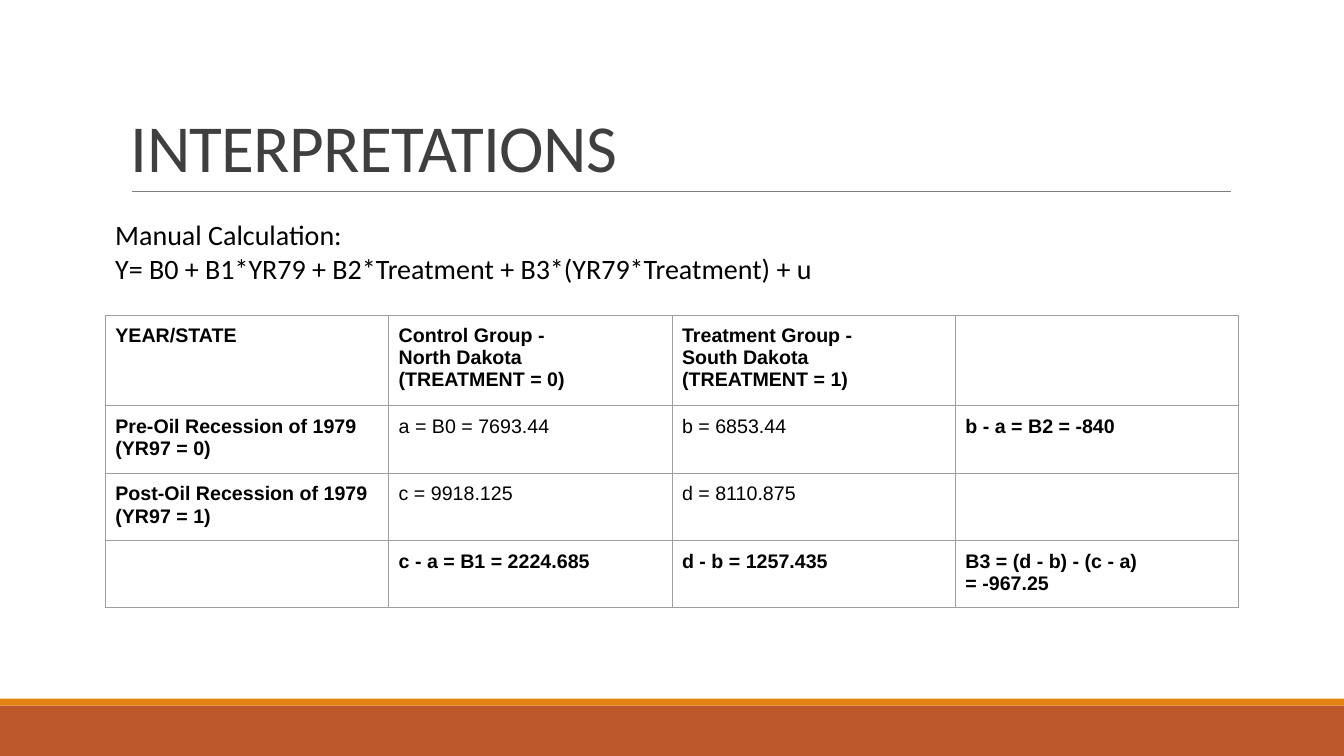
import dataclasses

import lxml.etree
import pptx
import pptx.dml.color
import pptx.enum.shapes
import pptx.enum.text
import pptx.oxml.ns
import pptx.util

Pt = pptx.util.Pt


@dataclasses.dataclass(frozen=True)
class Theme:
    """Colours, fonts and type sizes of the slide."""
    band: str = "BD582C"
    stripe: str = "E48312"
    rule: str = "7F7F7F"
    border: str = "9E9E9E"
    title: str = "3F3F3F"
    text: str = "000000"
    heading_font: str = "Calibri"
    table_font: str = "Arial"
    title_size: float = 48
    body_size: float = 20
    table_size: float = 14
    line_width: float = 0.75


THEME = Theme()
SLIDE_WIDTH, SLIDE_HEIGHT = 960, 540
TABLE_LEFT, TABLE_TOP, COLUMN_WIDTH = 75.2, 225, 202.4
ROW_HEIGHTS = (61.5, 45.7, 45.7, 45.7)

# Each cell holds its lines and whether they are bold.
CELLS = (
    (("YEAR/STATE", True),
     ("Control Group -\nNorth Dakota\n(TREATMENT = 0)", True),
     ("Treatment Group -\nSouth Dakota\n(TREATMENT = 1)", True),
     ("", True)),
    (("Pre-Oil Recession of 1979\n(YR97 = 0)", True),
     ("a = B0 = 7693.44", False),
     ("b = 6853.44", False),
     ("b - a = B2 = -840", True)),
    (("Post-Oil Recession of 1979\n(YR97 = 1)", True),
     ("c = 9918.125", False),
     ("d = 8110.875", False),
     ("", True)),
    (("", True),
     ("c - a = B1 = 2224.685", True),
     ("d - b = 1257.435", True),
     ("B3 = (d - b) - (c - a)\n= -967.25", True)),
)


def rgb(value):
    """Return a colour from its hex string."""
    return pptx.dml.color.RGBColor.from_string(value)


def apply_format(target, values):
    """Set each named attribute on the target."""
    for name, value in values.items():
        setattr(target, name, value)


def write_lines(frame, text, colour, font, line_spacing=1.0):
    """Write one paragraph per line of text and return the spans."""
    spans = []
    for index, line in enumerate(text.split("\n")):
        para = frame.add_paragraph() if index else frame.paragraphs[0]
        para.line_spacing = line_spacing
        span = para.add_run()
        span.text = line
        apply_format(span.font, font)
        span.font.color.rgb = rgb(colour)
        spans.append(span)
    return spans


def add_text(page, place, text, colour, font, frame_format, line_spacing=1.0):
    """Add a wrapping text box and return its spans."""
    box = page.shapes.add_textbox(*map(Pt, place))
    apply_format(box.text_frame, {"word_wrap": True, **frame_format})
    return write_lines(box.text_frame, text, colour, font, line_spacing)


def add_band(page, top, height, colour):
    """Add a plain bar across the full slide width."""
    band = page.shapes.add_shape(
        pptx.enum.shapes.MSO_SHAPE.RECTANGLE,
        Pt(0), Pt(top), Pt(SLIDE_WIDTH), Pt(height))
    band.shadow.inherit = False
    band.fill.solid()
    band.fill.fore_color.rgb = rgb(colour)
    band.line.fill.background()


def add_rule(page, left, right, top):
    """Add the thin line under the title."""
    rule = page.shapes.add_connector(
        pptx.enum.shapes.MSO_CONNECTOR.STRAIGHT,
        Pt(left), Pt(top), Pt(right), Pt(top))
    rule.line.color.rgb = rgb(THEME.rule)
    rule.line.width = Pt(THEME.line_width)
    lxml.etree.SubElement(rule._element.spPr, pptx.oxml.ns.qn("a:effectLst"))


def add_borders(cell):
    """Draw all four borders of a table cell."""
    properties = cell._tc.get_or_add_tcPr()
    for side in ("lnL", "lnR", "lnT", "lnB"):
        line = lxml.etree.SubElement(
            properties, pptx.oxml.ns.qn(f"a:{side}"), w=str(Pt(THEME.line_width)))
        fill = lxml.etree.SubElement(line, pptx.oxml.ns.qn("a:solidFill"))
        lxml.etree.SubElement(
            fill, pptx.oxml.ns.qn("a:srgbClr"), val=THEME.border)


def add_grid(page):
    """Add the table of group means and their differences."""
    columns = len(CELLS[0])
    table = page.shapes.add_table(
        len(CELLS), columns, Pt(TABLE_LEFT), Pt(TABLE_TOP),
        Pt(columns * COLUMN_WIDTH), Pt(sum(ROW_HEIGHTS))).table
    apply_format(table, {"first_row": False, "horz_banding": False})
    for column in table.columns:
        column.width = Pt(COLUMN_WIDTH)
    margins = dict.fromkeys(
        ("margin_left", "margin_right", "margin_top", "margin_bottom"), Pt(7.2))
    for row, height, contents in zip(table.rows, ROW_HEIGHTS, CELLS):
        row.height = Pt(height)
        for cell, (text, bold) in zip(row.cells, contents):
            apply_format(cell, margins)
            add_borders(cell)
            cell.fill.background()
            write_lines(cell.text_frame, text, THEME.text, {
                "name": THEME.table_font, "size": Pt(THEME.table_size),
                "bold": bold})


def main():
    """Build the slide and save the deck."""
    deck = pptx.Presentation()
    apply_format(deck, {"slide_width": Pt(SLIDE_WIDTH),
                        "slide_height": Pt(SLIDE_HEIGHT)})
    page = deck.slides.add_slide(deck.slide_layouts[6])
    add_band(page, 504, 36, THEME.band)
    add_band(page, 499, 5, THEME.stripe)
    add_rule(page, 94.3, 879, 136.8)
    title_spans = add_text(
        page, (86.4, 22.5, 792, 114.3), "INTERPRETATIONS", THEME.title,
        {"name": THEME.heading_font, "size": Pt(THEME.title_size)},
        {"vertical_anchor": pptx.enum.text.MSO_ANCHOR.BOTTOM}, 0.85)
    for span in title_spans:
        span._r.get_or_add_rPr().set("spc", "-50")
    add_grid(page)
    add_text(
        page, (TABLE_LEFT, 148.5, 707, 67),
        "Manual Calculation:\n"
        "Y= B0 + B1*YR79 + B2*Treatment + B3*(YR79*Treatment) + u",
        THEME.text,
        {"name": THEME.heading_font, "size": Pt(THEME.body_size)},
        {"margin_top": Pt(7.2), "margin_bottom": Pt(7.2)})
    deck.save("out.pptx")


main()
